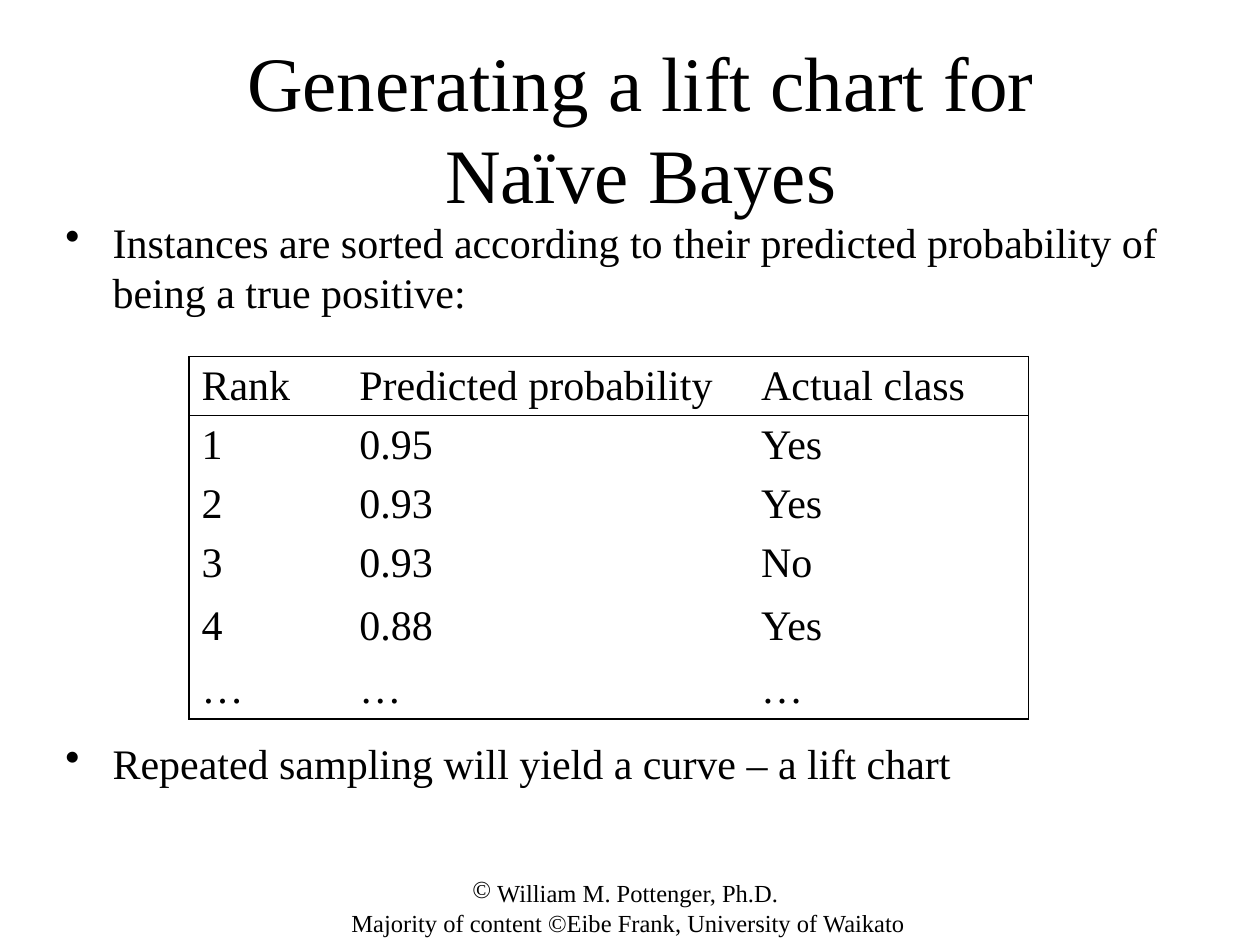
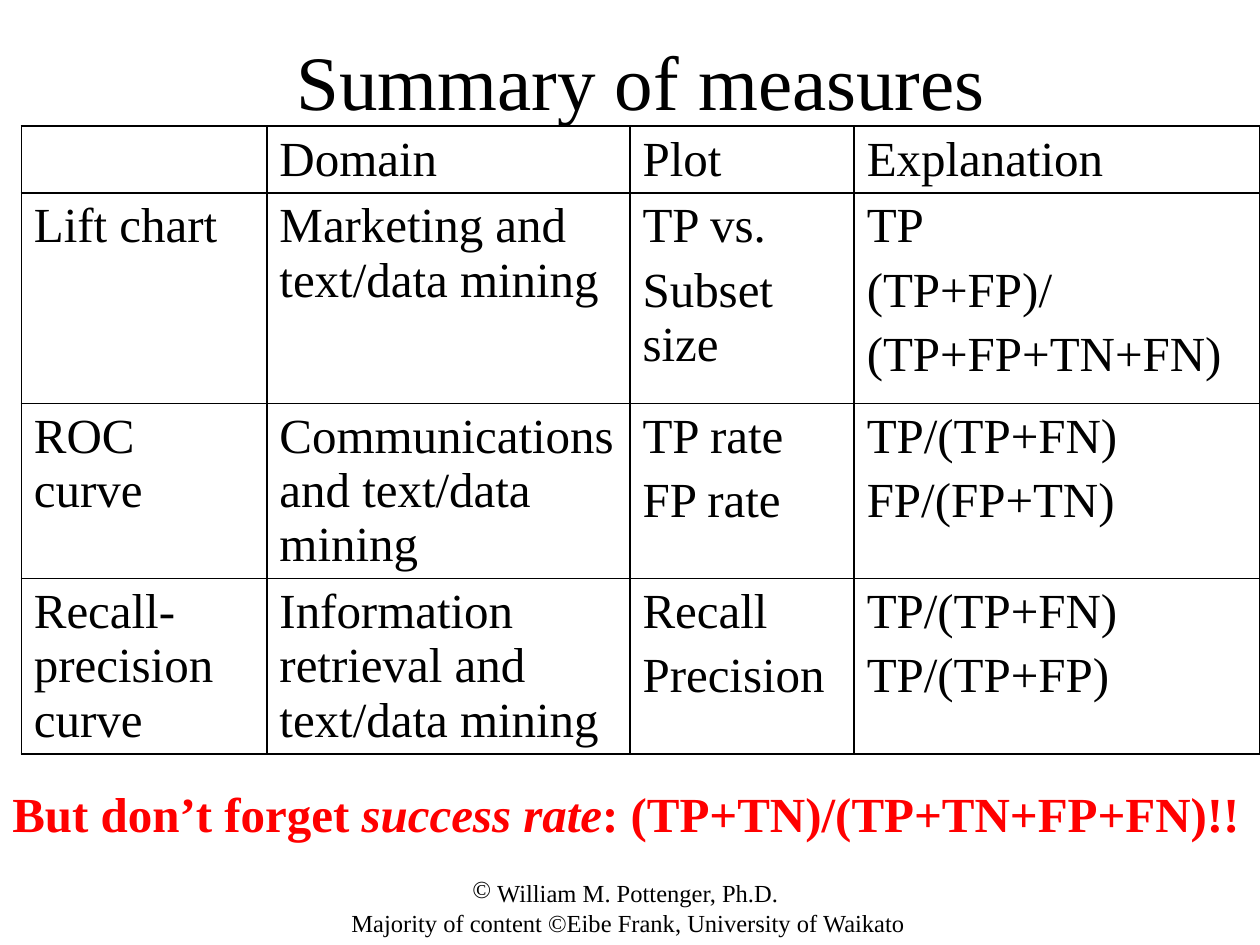
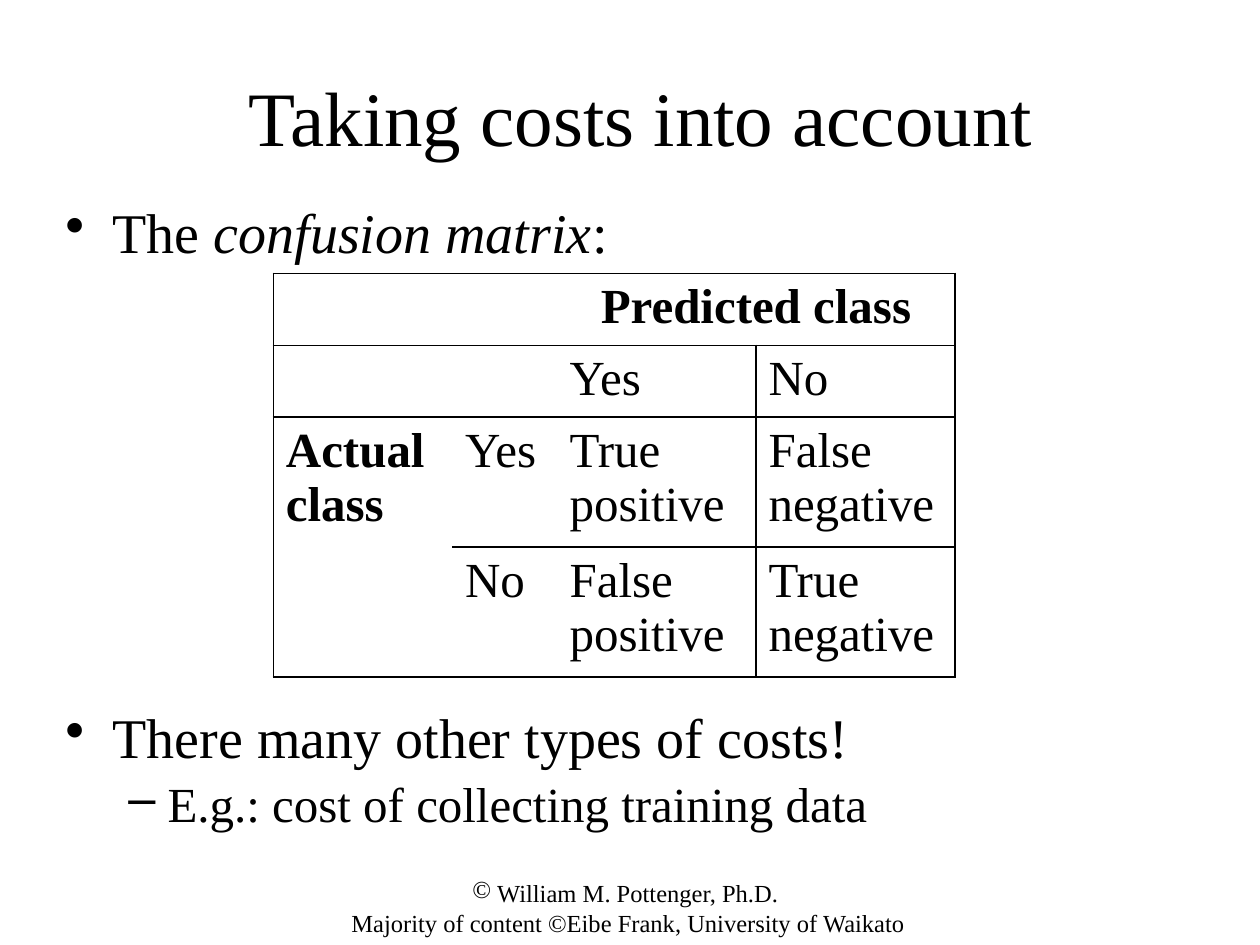
from lxml import etree
from pptx import Presentation
from pptx.dml.color import RGBColor
from pptx.enum.text import MSO_ANCHOR, MSO_AUTO_SIZE, PP_ALIGN
from pptx.oxml.ns import qn
from pptx.util import Cm, Pt

LEFT, CENTER = PP_ALIGN.LEFT, PP_ALIGN.CENTER
TOP, MIDDLE = MSO_ANCHOR.TOP, MSO_ANCHOR.MIDDLE
NO_AUTOFIT = MSO_AUTO_SIZE.NONE
TITLE_ONLY = 5

COLORS = {"text": "000000", "warning": "FF0000", "border": "000000"}
FONT = "Times New Roman"
PLAIN_TABLE_STYLE = "{2D5ABB26-0587-4C30-8999-92F81FD0307C}"
BORDER_WIDTH = Pt(1)

FOOTER_BOX = (5.72, 17.58, 13.77, 0.84)
FOOTER_LINES = (
    (" William M. Pottenger, Ph.D.", "©"),
    (" Majority of content ©Eibe Frank, University of Waikato", None),
)


def write_paragraph(paragraph, text, size, color="text", bold=False, align=LEFT,
                    bullet=None, indent=0, hanging=0, before=0, spacing=None):
    """Write a string, or a list of (text, italic) runs, into a paragraph."""
    paragraph.alignment = align
    paragraph.space_before = Pt(before)
    if spacing:
        paragraph.line_spacing = spacing
    properties = paragraph._p.get_or_add_pPr()
    properties.set("marL", str(Cm(indent)))
    properties.set("indent", str(-Cm(hanging)))
    if bullet:
        etree.SubElement(properties, qn("a:buChar")).set("char", bullet)
    runs = [(text, False)] if isinstance(text, str) else text
    for run_text, italic in runs:
        run = paragraph.add_run()
        run.text = run_text
        run.font.name = FONT
        run.font.size = Pt(size)
        run.font.bold = bold
        run.font.italic = italic
        run.font.color.rgb = RGBColor.from_string(COLORS[color])


def draw_borders(cell, sides):
    """Draw the named sides (L, R, T, B) of a cell and clear the others."""
    properties = cell._tc.get_or_add_tcPr()
    for side in "LRTB":
        line = etree.SubElement(properties, qn("a:ln" + side))
        line.set("w", str(BORDER_WIDTH))
        if side in sides:
            fill = etree.SubElement(line, qn("a:solidFill"))
            etree.SubElement(fill, qn("a:srgbClr")).set("val", COLORS["border"])
        else:
            etree.SubElement(line, qn("a:noFill"))
    cell.fill.background()


class Deck:
    def __init__(self):
        self.presentation = Presentation()
        self.presentation.slide_width = Cm(25.4)
        self.presentation.slide_height = Cm(19.05)
        self.slide = None

    def add_slide(self, title_lines, top, height):
        layout = self.presentation.slide_layouts[TITLE_ONLY]
        self.slide = self.presentation.slides.add_slide(layout)
        self.footer()
        self.title(title_lines, top, height)

    def frame(self, shape, anchor=TOP):
        text_frame = shape.text_frame
        text_frame.word_wrap = True
        text_frame.auto_size = NO_AUTOFIT
        text_frame.vertical_anchor = anchor
        return text_frame

    def paragraphs(self, text_frame):
        """Yield the first paragraph, then new ones."""
        yield text_frame.paragraphs[0]
        while True:
            yield text_frame.add_paragraph()

    def title(self, lines, top, height):
        shape = self.slide.shapes.title
        shape.left, shape.top = Cm(1.07), Cm(top)
        shape.width, shape.height = Cm(23.7), Cm(height)
        text_frame = self.frame(shape, MIDDLE)
        for line, paragraph in zip(lines, self.paragraphs(text_frame)):
            write_paragraph(paragraph, line, 44, align=CENTER)

    def text_box(self, left, top, width, height):
        shape = self.slide.shapes.add_textbox(Cm(left), Cm(top), Cm(width), Cm(height))
        return self.frame(shape)

    def footer(self):
        text_frame = self.text_box(*FOOTER_BOX)
        for (line, bullet), paragraph in zip(FOOTER_LINES, self.paragraphs(text_frame)):
            write_paragraph(paragraph, line, 14, align=CENTER, bullet=bullet)

    def bullets(self, top, items, spacing=None):
        """Each item is text, size, level and the space before it in points."""
        levels = (("•", 0.95, 0.95), ("–", 2.06, 0.79))
        text_frame = self.text_box(1.07, top, 23.7, 12.07)
        for (text, size, level, before), paragraph in zip(items, self.paragraphs(text_frame)):
            bullet, indent, hanging = levels[level]
            write_paragraph(paragraph, text, size, bullet=bullet, indent=indent,
                            hanging=hanging, before=before, spacing=spacing)
            paragraph.level = level

    def note(self, runs, top):
        text_frame = self.text_box(0, top, 25.4, 1.45)
        write_paragraph(text_frame.paragraphs[0], runs, 28, color="warning", bold=True)

    def table(self, left, top, columns, rows, values, size, borders, merges=(), headings=()):
        """borders(row, column) names the sides to draw; headings are bold cells."""
        shape = self.slide.shapes.add_table(
            len(rows), len(columns), Cm(left), Cm(top), Cm(sum(columns)), Cm(sum(rows)))
        table = shape.table
        table.first_row = table.horz_banding = False
        table._tbl.tblPr.find(qn("a:tableStyleId")).text = PLAIN_TABLE_STYLE
        for column, width in zip(table.columns, columns):
            column.width = Cm(width)
        for row, height in zip(table.rows, rows):
            row.height = Cm(height)
        for first, last in merges:
            table.cell(*first).merge(table.cell(*last))
        for row, row_values in enumerate(values):
            for column, value in enumerate(row_values):
                cell = table.cell(row, column)
                draw_borders(cell, borders(row, column))
                if not value:
                    continue
                lines = value.split("\n")
                for number, paragraph in zip(range(len(lines)), self.paragraphs(cell.text_frame)):
                    write_paragraph(paragraph, lines[number], size,
                                    bold=value in headings,
                                    align=CENTER if value in headings and row == 0 else LEFT,
                                    before=size * 0.2 if number else 0)


def ranking_borders(row, column):
    """Outer frame and a rule below the header."""
    return (("L" if column == 0 else "") + ("R" if column == 2 else "")
            + ("T" if row < 2 else "") + ("B" if row in (0, 5) else ""))


def summary_borders(row, column):
    return "LRTB"


def matrix_borders(row, column):
    """Row rules, outer frame and one divider before the last column."""
    sides = "B" if (row, column) == (3, 0) else "TB"
    if column == 0 or (column == 3 and row > 0):
        sides += "L"
    if column == 3 or (row, column) == (0, 2):
        sides += "R"
    if column == 2 and row == 0:
        return "TRB"
    return sides


deck = Deck()

# Lift chart ranking
deck.add_slide(["Generating a lift chart for", "Naïve Bayes"], 1.07, 2.97)
deck.bullets(4.24, [
    ("Instances are sorted according to their predicted probability of "
     "being a true positive:", 24, 0, 0),
    ("Repeated sampling will yield a curve – a lift chart", 24, 0, 240),
])
deck.table(
    3.81, 7.19, (3.18, 8.1, 5.64), (1.19, 1.19, 1.19, 1.27, 1.27, 1.19),
    [("Rank", "Predicted probability", "Actual class"),
     ("1", "0.95", "Yes"),
     ("2", "0.93", "Yes"),
     ("3", "0.93", "No"),
     ("4", "0.88", "Yes"),
     ("…", "…", "…")],
    24, ranking_borders)

# Summary of measures
deck.add_slide(["Summary of measures"], 0.43, 2.34)
deck.table(
    0.43, 2.54, (4.95, 7.32, 4.52, 8.18), (1.35, 4.24, 3.53, 3.53),
    [("", "Domain", "Plot", "Explanation"),
     ("Lift chart", "Marketing and text/data mining", "TP vs.\nSubset size",
      "TP\n(TP+FP)/\n(TP+FP+TN+FN)"),
     ("ROC curve", "Communications and text/data mining", "TP rate\nFP rate",
      "TP/(TP+FN)\nFP/(FP+TN)"),
     ("Recall-precision curve", "Information retrieval and text/data mining",
      "Recall\nPrecision", "TP/(TP+FN)\nTP/(TP+FP)")],
    28, summary_borders)
deck.note([("But don’t forget ", False), ("success rate", True),
           (": (TP+TN)/(TP+TN+FP+FN)!!", False)], 15.67)

# Confusion matrix
deck.add_slide(["Taking costs into account"], 0.84, 2.97)
deck.bullets(4.01, [
    ([("The ", False), ("confusion matrix", True), (":", False)], 32, 0, 0),
    ("There many other types of costs!", 32, 0, 254),
    ("E.g.: cost of collecting training data", 28, 1, 5.6),
], spacing=0.9)
deck.table(
    5.51, 5.51, (3.61, 2.11, 4.01, 4.01), (1.45, 1.45, 2.62, 2.62),
    [("", "", "Predicted class", ""),
     ("", "", "Yes", "No"),
     ("Actual\u0020class", "Yes", "True positive", "False negative"),
     ("", "No", "False positive", "True negative")],
    28, matrix_borders,
    merges=[((0, 0), (0, 1)), ((0, 2), (0, 3)), ((1, 0), (1, 1)), ((2, 0), (3, 0))],
    headings=("Predicted class", "Actual class"))

deck.presentation.save("out.pptx")
